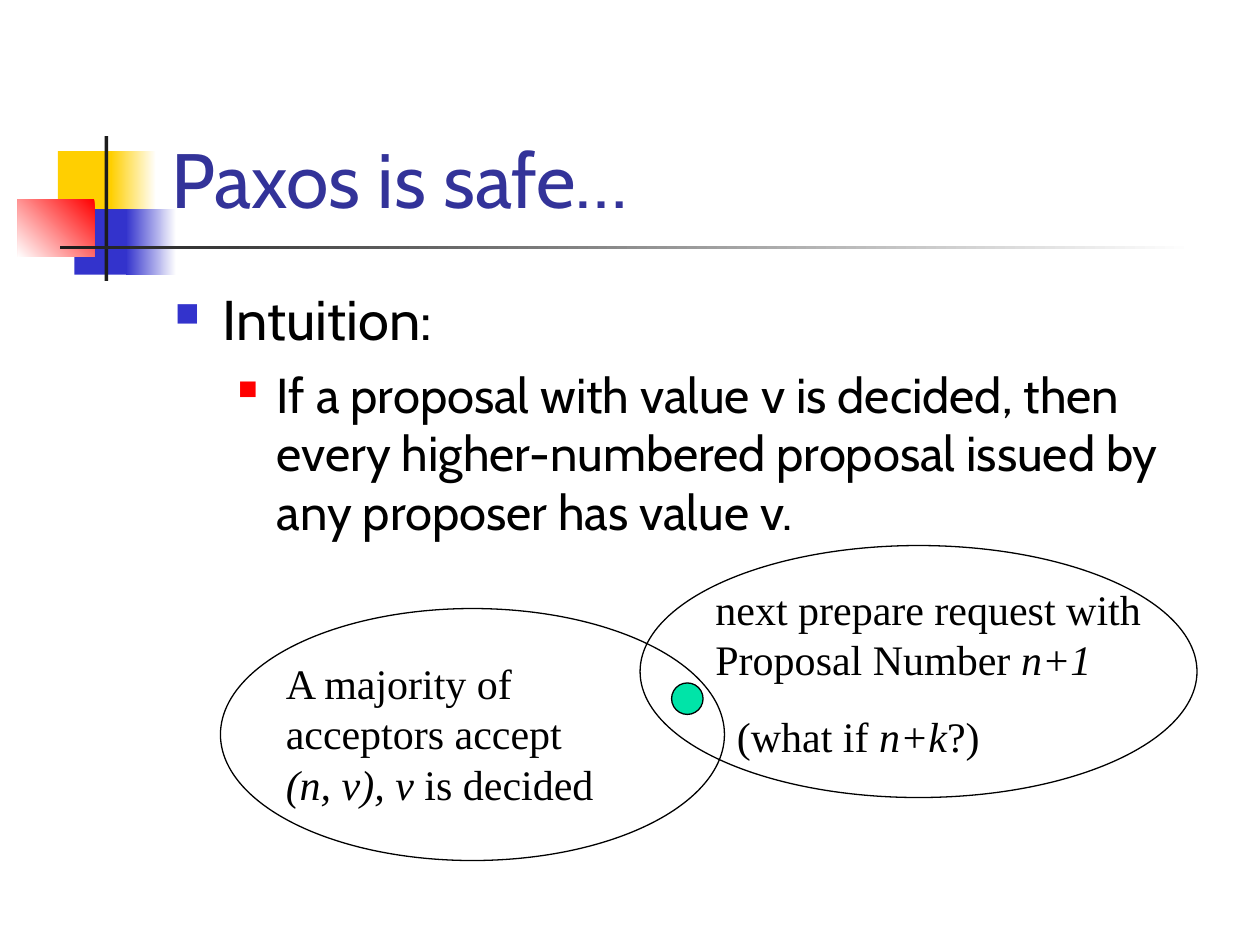
import pptx
import pptx.dml.color
import pptx.enum.shapes
import pptx.enum.text
import pptx.oxml
import pptx.oxml.ns
import pptx.util
from pptx.util import Inches

RGBColor = pptx.dml.color.RGBColor
ShapeType = pptx.enum.shapes.MSO_SHAPE
Anchor = pptx.enum.text.MSO_ANCHOR

WHITE = RGBColor(0xFF, 0xFF, 0xFF)
BLACK = RGBColor(0x00, 0x00, 0x00)
YELLOW = RGBColor(0xFF, 0xCF, 0x01)
BLUE = RGBColor(0x33, 0x33, 0xCC)
RED = RGBColor(0xFF, 0x00, 0x00)
CHARCOAL = RGBColor(0x1C, 0x1C, 0x1C)
NAVY = RGBColor(0x33, 0x33, 0x99)
GREEN = RGBColor(0x00, 0xE4, 0xA8)

DECORATIONS = [
    ((0.46, 1.2, 0.48, 0.52), YELLOW, None),
    ((0.88, 1.2, 0.36, 0.52), (WHITE, YELLOW), 180),
    ((0.59, 1.66, 0.46, 0.52), BLUE, None),
    ((1, 1.66, 0.4, 0.52), (WHITE, BLUE), 180),
    ((0.14, 1.58, 0.61, 0.46), (RED, WHITE), 225),
    ((0.83, 1.08, 0.03, 1.15), CHARCOAL, None),
    ((0.48, 1.95, 9, 0.03), (WHITE, CHARCOAL), 180),
]

TITLE = [{"runs": [("Paxos is safe…", False)]}]
BODY = [
    {"runs": [("Intuition:", False)], "size": 32, "before": 8,
     "left": 0.38, "hanging": 0.38, "bullet": (BLUE, 60)},
    {"runs": [("If a proposal with value v is decided, then every higher-numbered "
               "proposal issued by any proposer has value v.", False)],
     "size": 28, "before": 7, "level": 1,
     "left": 0.81, "hanging": 0.31, "bullet": (RED, 55)},
]
MAJORITY = [
    {"runs": [("A majority of acceptors accept ", False), ("(n, v), v", True),
              (" is decided", False)], "before": 15},
]
NEXT_REQUEST = [
    {"runs": [("next prepare request with Proposal Number ", False), ("n+1", True)],
     "before": 15},
    {"runs": [("(what if ", False), ("n+k", True), ("?)", False)],
     "before": 15, "left": 0.17},
]


def add_shape(slide, kind, box, fill=None, angle=None, line=None):
    shape = slide.shapes.add_shape(kind, *map(Inches, box))
    shape.shadow.inherit = False
    if fill is None:
        shape.fill.background()
    elif angle is None:
        shape.fill.solid()
        shape.fill.fore_color.rgb = fill
    else:
        shape.fill.gradient()
        shape.fill.gradient_angle = angle
        for stop, color, position in zip(shape.fill.gradient_stops, fill, (0, 1)):
            stop.color.rgb = color
            stop.position = position
    if line is None:
        shape.line.fill.background()
    else:
        shape.line.color.rgb = line
        shape.line.width = pptx.util.Pt(0.75)


def add_bullet(properties, color, percent):
    namespace = pptx.oxml.ns.nsdecls("a")
    for markup in (
        f'<a:buClr {namespace}><a:srgbClr val="{color}"/></a:buClr>',
        f'<a:buSzPct {namespace} val="{percent * 1000}"/>',
        f'<a:buChar {namespace} char="■"/>',
    ):
        properties.append(pptx.oxml.parse_xml(markup))


def add_text(slide, box, paragraphs, font="Times New Roman", size=24, color=BLACK,
             anchor=Anchor.TOP):
    frame = slide.shapes.add_textbox(*map(Inches, box)).text_frame
    frame.word_wrap = True
    frame.vertical_anchor = anchor
    for index, content in enumerate(paragraphs):
        paragraph = frame.add_paragraph() if index else frame.paragraphs[0]
        paragraph.level = content.get("level", 0)
        paragraph.space_before = pptx.util.Pt(content.get("before", 0))
        properties = paragraph._p.get_or_add_pPr()
        properties.set("marL", str(Inches(content.get("left", 0))))
        properties.set("indent", str(-Inches(content.get("hanging", 0))))
        if "bullet" in content:
            add_bullet(properties, *content["bullet"])
        for text, italic in content["runs"]:
            run = paragraph.add_run()
            run.text = text
            run.font.name = font
            run.font.size = pptx.util.Pt(content.get("size", size))
            run.font.italic = italic
            run.font.color.rgb = color


def main():
    presentation = pptx.Presentation()
    presentation.slide_width = Inches(10)
    presentation.slide_height = Inches(7.5)
    slide = presentation.slides.add_slide(presentation.slide_layouts[6])

    for box, fill, angle in DECORATIONS:
        add_shape(slide, ShapeType.RECTANGLE, box, fill, angle)

    add_text(slide, (1.26, 0.23, 8.52, 1.6), TITLE, font="Cabin", size=44, color=NAVY,
             anchor=Anchor.BOTTOM)
    add_text(slide, (1.29, 2.21, 8.5, 4.5), BODY, font="Cabin")

    add_shape(slide, ShapeType.OVAL, (1.75, 4.83, 4, 2), WHITE, line=BLACK)
    add_text(slide, (2.17, 5.17, 2.83, 1.3), MAJORITY)
    add_shape(slide, ShapeType.OVAL, (5.08, 4.33, 4.42, 2), line=BLACK)
    add_text(slide, (5.58, 4.58, 3.83, 1.51), NEXT_REQUEST)
    add_shape(slide, ShapeType.OVAL, (5.33, 5.42, 0.25, 0.25), GREEN, line=BLACK)

    presentation.save("out.pptx")


if __name__ == "__main__":
    main()
